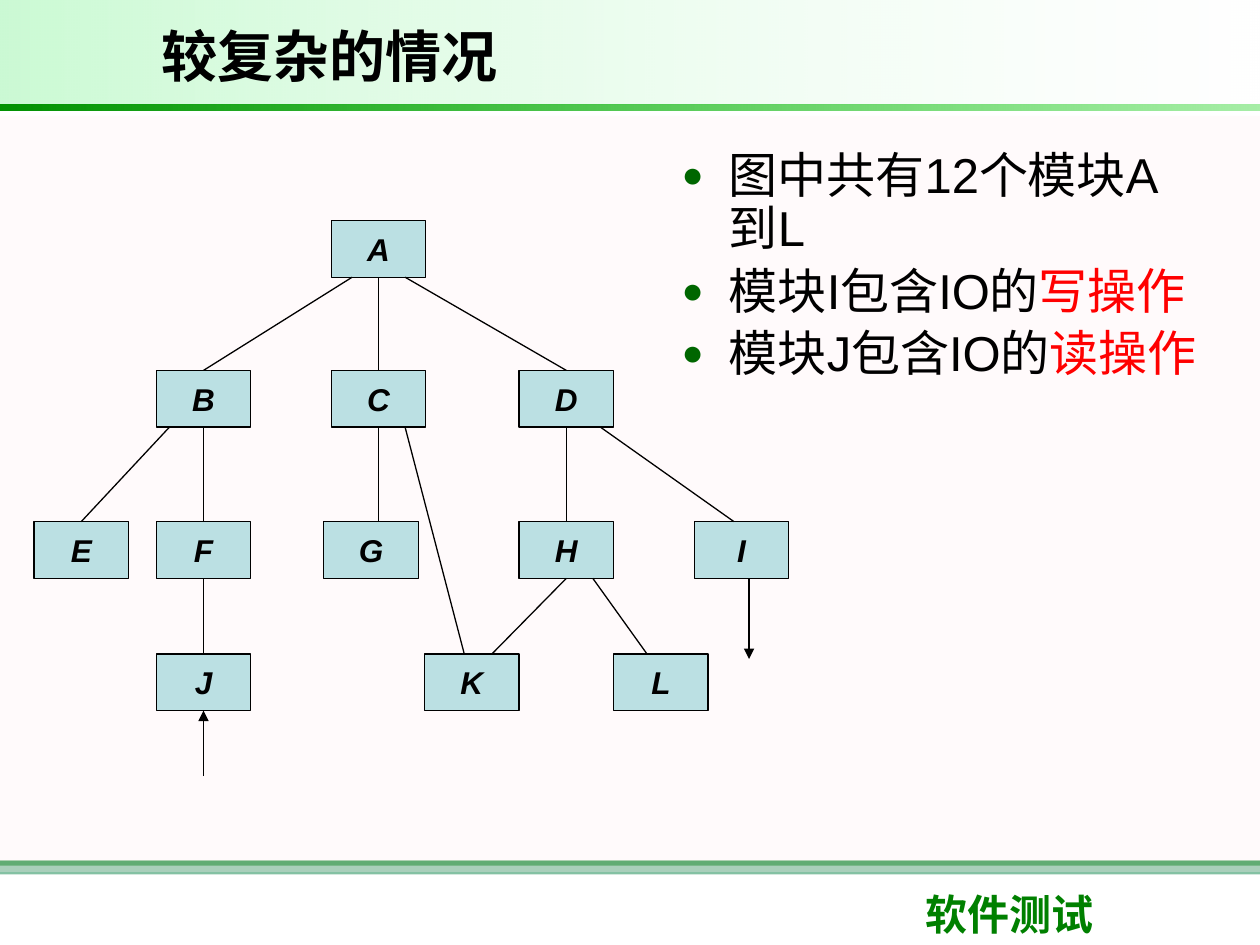
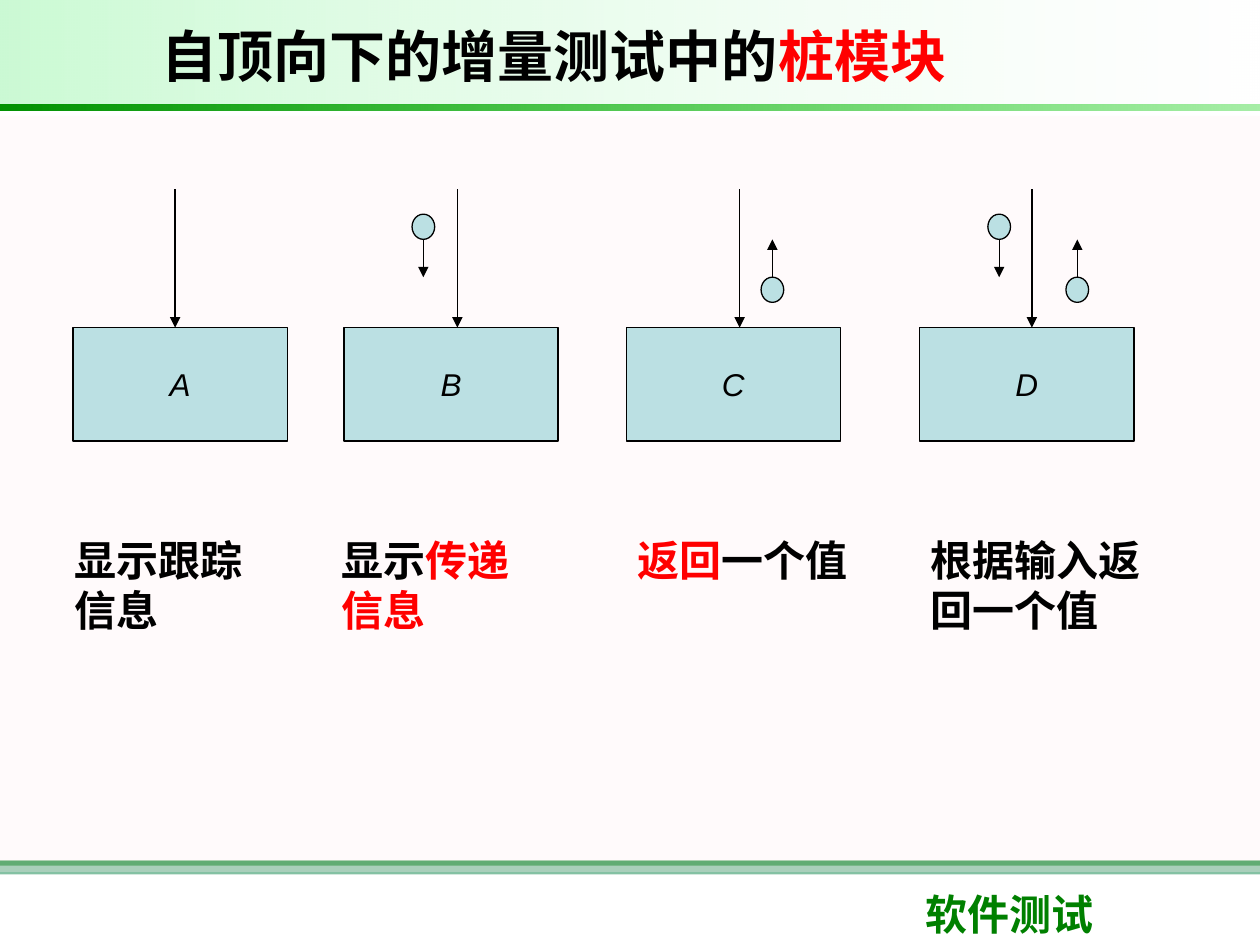
from lxml.etree import SubElement as Sub
from pptx import Presentation
from pptx.dml.color import RGBColor as Rgb
from pptx.enum.shapes import MSO_CONNECTOR as Line, MSO_SHAPE as Preset
from pptx.enum.text import MSO_ANCHOR as Anchor, MSO_AUTO_SIZE as Fit, PP_ALIGN as Align
from pptx.oxml.ns import qn
from pptx.util import Inches, Pt

COLOURS = {
    "ink": "000000", "accent": "FF0000", "node": "BBE0E3", "brand": "008000",
    "bullet": "006600", "white": "FFFFFF", "rule": "339966", "paper": "FFF0F5",
    "band": "09E733", "edge_dark": "009200", "edge_light": "00CC00",
}
FONT = "Arial"
COLUMNS, ROWS = 100, 75
TITLE_ONLY, TITLE_AND_BODY = 5, 1


class Slides:
    """Holds the deck, its style and the current page, on a 100 by 75 grid."""

    def __init__(self):
        self.deck = Presentation()
        self.deck.slide_width, self.deck.slide_height = Inches(10), Inches(7.5)
        self.page = None

    def x(self, columns):
        """Turn columns into a length."""
        return round(self.deck.slide_width * columns / COLUMNS)

    def y(self, rows):
        """Turn rows into a length."""
        return round(self.deck.slide_height * rows / ROWS)

    def place(self, left, top, width, height):
        """Turn a grid cell range into lengths."""
        return self.x(left), self.y(top), self.x(width), self.y(height)

    def colour(self, name):
        """Look up a colour of the style."""
        return Rgb.from_string(COLOURS[name])

    def start_page(self, layout):
        """Add a page and make it current."""
        self.page = self.deck.slides.add_slide(self.deck.slide_layouts[layout])

    def add_spans(self, para, spans, size, bold=False, italic=False):
        """Add (text, colour) spans to a paragraph."""
        for text, colour in spans:
            span = para.add_run()
            span.text = text
            font = span.font
            font.name, font.size, font.bold, font.italic = FONT, Pt(size), bold, italic
            font.color.rgb = self.colour(colour)

    def fill_placeholder(self, box, cell, anchor):
        """Move a placeholder and return its text frame."""
        box.left, box.top, box.width, box.height = self.place(*cell)
        frame = box.text_frame
        frame.auto_size, frame.vertical_anchor = Fit.NONE, anchor
        return frame

    def title(self, width, *spans):
        """Fill the title of the page."""
        frame = self.fill_placeholder(self.page.shapes.title, (11.8, 0.8, width, 7.1), Anchor.MIDDLE)
        para = frame.paragraphs[0]
        para.alignment = Align.LEFT
        self.add_spans(para, spans, 32, bold=True)

    def bullets(self, cell, items):
        """Fill the body of the page with a bulleted list."""
        frame = self.fill_placeholder(self.page.placeholders[1], cell, Anchor.TOP)
        for index, spans in enumerate(items):
            para = frame.add_paragraph() if index else frame.paragraphs[0]
            para.line_spacing, para.space_before = 0.9, Pt(5.6)
            marks = para._p.get_or_add_pPr()
            marks.set("marL", str(self.x(3.75)))
            marks.set("indent", str(-self.x(3.75)))
            tint = Sub(marks, qn("a:buClr"))
            Sub(tint, qn("a:srgbClr"), val=COLOURS["bullet"])
            Sub(marks, qn("a:buSzPct"), val="75000")
            Sub(marks, qn("a:buFont"), typeface=FONT)
            Sub(marks, qn("a:buChar"), char="●")
            self.add_spans(para, spans, 28)

    def caption(self, cell, *spans):
        """Add a bold text box."""
        box = self.page.shapes.add_textbox(*self.place(*cell))
        box.text_frame.word_wrap = True
        self.add_spans(box.text_frame.paragraphs[0], spans, 24, bold=True)

    def band(self, cell, *stops):
        """Add a borderless bar filled by one or two (colour, opacity) stops."""
        bar = self.page.shapes.add_shape(Preset.RECTANGLE, *self.place(*cell))
        bar.shadow.inherit = False
        bar.line.fill.background()
        if len(stops) == 1:
            bar.fill.solid()
            bar.fill.fore_color.rgb = self.colour(stops[0][0])
        else:
            bar.fill.gradient()
            bar.fill.gradient_angle = 0
            for stop, (name, _) in zip(bar.fill.gradient_stops, stops):
                stop.color.rgb = self.colour(name)
        tints = bar.element.spPr.iter(qn("a:srgbClr"))
        for tint, (_, opacity) in zip(list(tints), stops):
            Sub(tint, qn("a:alpha"), val=str(opacity * 1000))

    def node(self, cell, label="", bold=False, preset=Preset.RECTANGLE):
        """Add an outlined shape with a centred italic label."""
        box = self.page.shapes.add_shape(preset, *self.place(*cell))
        box.shadow.inherit = False
        box.fill.solid()
        box.fill.fore_color.rgb = self.colour("node")
        box.line.color.rgb, box.line.width = self.colour("ink"), Pt(0.75)
        if label:
            frame = box.text_frame
            frame.word_wrap, frame.vertical_anchor = False, Anchor.MIDDLE
            para = frame.paragraphs[0]
            para.alignment = Align.CENTER
            self.add_spans(para, [(label, "ink")], 18, bold, italic=True)

    def link(self, start, end, arrow=False):
        """Add a straight line, with an arrowhead at its end if asked."""
        (x1, y1), (x2, y2) = start, end
        line = self.page.shapes.add_connector(
            Line.STRAIGHT, self.x(x1), self.y(y1), self.x(x2), self.y(y2))
        line.line.color.rgb, line.line.width = self.colour("ink"), Pt(0.75)
        if arrow:
            Sub(line.element.spPr.find(qn("a:ln")), qn("a:tailEnd"), type="triangle")
        Sub(line.element.spPr, qn("a:effectLst"))

    def furnish_master(self):
        """Draw bands and footer, then hand them to the slide master."""
        self.band((0, 68.3, 100, 0.4), ("brand", 100))
        self.band((0, 68.3, 100, 1.1), ("rule", 60))
        self.band((0, 9.2, 100, 60), ("paper", 30))
        self.caption((72.5, 70, 23.7, 5), ("软件测试", "brand"))
        self.band((0, 0, 100, 8.3), ("band", 21), ("white", 10))
        self.band((0, 8.3, 100, 0.5), ("edge_dark", 100), ("edge_light", 35))
        tree = self.deck.slide_master.element.cSld.spTree
        shared = [shape for shape in self.page.shapes if not shape.is_placeholder]
        for index, shape in enumerate(shared, start=2):
            tree.insert(index, shape.element)


def module_tree(slides):
    """Build the module hierarchy page."""
    slides.title(69.7, ("较复杂的情况", "ink"))
    slides.bullets((53.1, 11.5, 42.9, 30.7), [
        [("图中共有12个模块A到L", "ink")],
        [("模块I包含IO的", "ink"), ("写操作", "accent")],
        [("模块J包含IO的", "ink"), ("读操作", "accent")],
    ])
    width, height = 7.5, 4.5
    levels = {
        17.5: {"A": 26.3},
        29.4: {"B": 12.4, "C": 26.3, "D": 41.2},
        41.4: {"E": 2.7, "F": 12.4, "G": 25.7, "H": 41.2, "I": 55.1},
        51.9: {"J": 12.4, "K": 33.7, "L": 48.7},
    }
    centres = {}
    for top, modules in levels.items():
        for name, left in modules.items():
            slides.node((left, top, width, height), name, bold=True)
            centres[name] = left + width / 2, top

    def below(name, shift=0):
        """Give a point on the bottom edge of a module."""
        x, top = centres[name]
        return x + shift, top + height

    def above(name, shift=0):
        """Give a point on the top edge of a module."""
        x, top = centres[name]
        return x + shift, top

    calls = [
        ("A", 0, "C", 0), ("A", -2.1, "B", 0), ("A", 2.1, "D", 0),
        ("B", -2.7, "E", 0), ("B", 0, "F", 0), ("F", 0, "J", 0),
        ("C", 0, "G", 0.6), ("C", 2.1, "K", -0.6), ("D", 0, "H", 0),
        ("D", 2.7, "I", -0.6), ("H", 0, "K", 1.6), ("H", 2.1, "L", -1.1),
    ]
    for caller, out, callee, into in calls:
        slides.link(below(caller, out), above(callee, into))
    entry = below("J")
    slides.link((entry[0], 61.6), entry, arrow=True)
    leave = below("I", 0.6)
    slides.link(leave, (leave[0], 52.3), arrow=True)


def stub_modules(slides):
    """Build the page of four kinds of stub."""
    slides.title(77.4, ("自顶向下的增量测试中的", "ink"), ("桩模块", "accent"))
    captions = [
        (4.9, 18.4, [("显示跟踪信息", "ink")]),
        (26.1, 18.1, [("显示", "ink"), ("传递信息", "accent")]),
        (49.6, 21.2, [("返回", "accent"), ("一个值", "ink")]),
        (72.9, 21.2, [("根据输入返回一个值", "ink")]),
    ]
    for left, width, spans in captions:
        slides.caption((left, 41.9, width, 9.1), *spans)
    stubs = [
        ("A", 5.8, 13.9, None, None), ("B", 27.3, 36.3, 33.6, None),
        ("C", 49.7, 58.7, None, 61.3), ("D", 73, 81.9, 79.3, 85.5),
    ]
    for name, left, call, data_in, data_out in stubs:
        slides.node((left, 26, 17, 9), name)
        slides.link((call, 15), (call, 26), arrow=True)
        for x, top, start, end in ((data_in, 17, 19, 22), (data_out, 22, 22, 19)):
            if x:
                slides.node((x - 0.9, top, 1.8, 2), preset=Preset.OVAL)
                slides.link((x, start), (x, end), arrow=True)


def main():
    """Build and save the deck."""
    slides = Slides()
    slides.start_page(TITLE_AND_BODY)
    slides.furnish_master()
    module_tree(slides)
    slides.start_page(TITLE_ONLY)
    stub_modules(slides)
    slides.deck.save("out.pptx")


if __name__ == "__main__":
    main()
